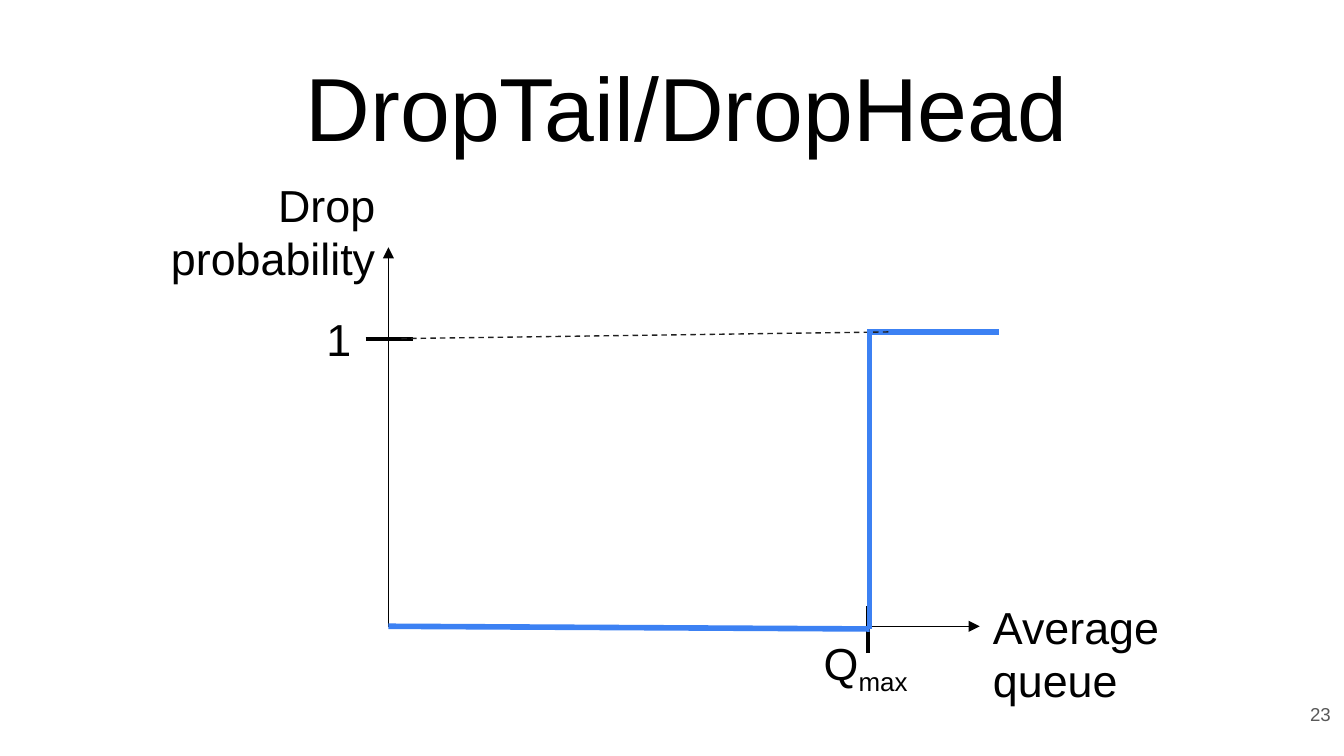
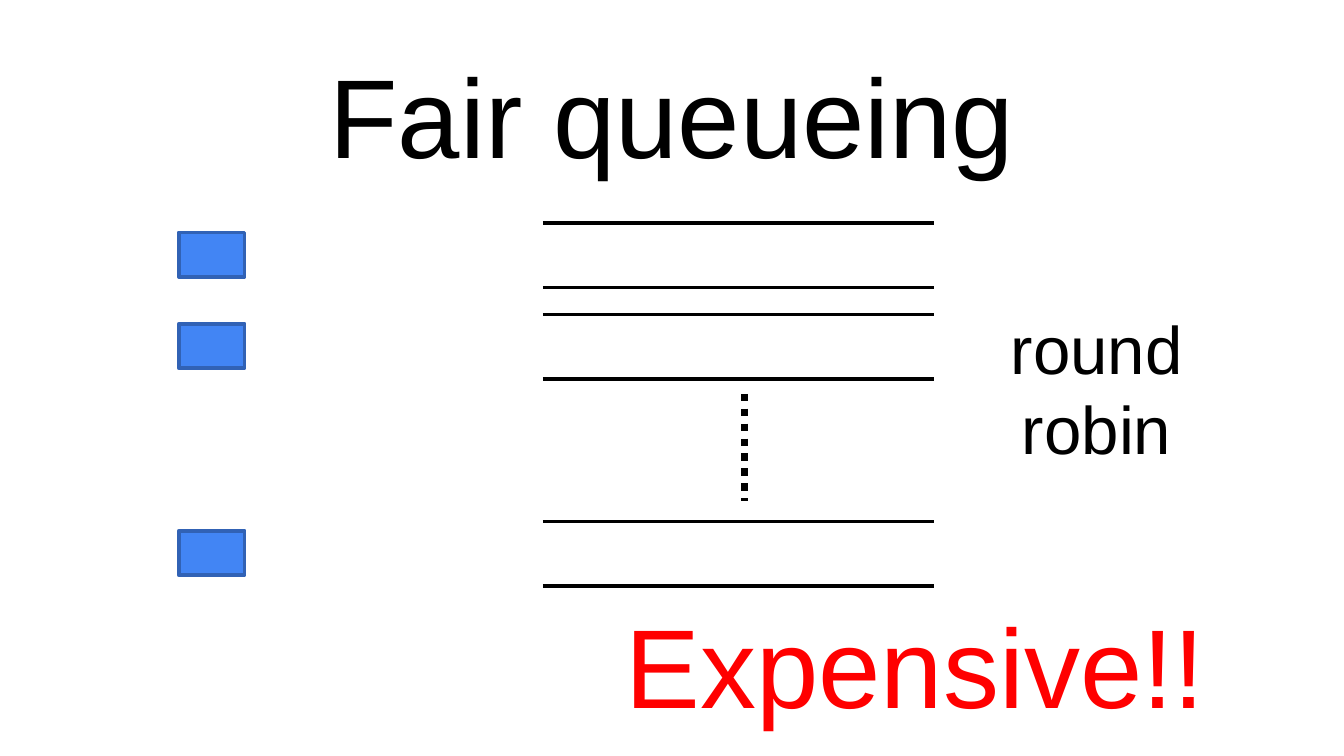
import pptx
import pptx.util
import pptx.dml.color
import pptx.enum.dml
import pptx.enum.shapes
import pptx.enum.text
from lxml import etree
from pptx.oxml.ns import qn

Inches, Pt = pptx.util.Inches, pptx.util.Pt
RGBColor = pptx.dml.color.RGBColor
ALIGN = pptx.enum.text.PP_ALIGN
ANCHOR = pptx.enum.text.MSO_ANCHOR
FIT = pptx.enum.text.MSO_AUTO_SIZE
DASH = pptx.enum.dml.MSO_LINE

FONT = "Arial"
BLACK = RGBColor(0x00, 0x00, 0x00)
DARK = RGBColor(0x20, 0x20, 0x20)
GREY = RGBColor(0x59, 0x59, 0x59)
CURVE = RGBColor(0x3C, 0x81, 0xF3)
PACKET = RGBColor(0x42, 0x85, 0xF4)
PACKET_EDGE = RGBColor(0x31, 0x62, 0xB5)
RED = RGBColor(0xFF, 0x00, 0x00)

# Drop probability graph: (from, to) points in inches
ORIGIN = (2.89, 4.66)
AXES = [(ORIGIN, (2.89, 1.84)), (ORIGIN, (7.29, 4.66))]
QUEUE_TICK = [((6.46, 4.86), (6.46, 4.51))]
PROBABILITY_TICK = [((2.72, 2.52), (3.07, 2.52))]
CURVE_START = [(ORIGIN, (6.47, 4.68)), ((6.46, 2.47), (7.43, 2.47))]
GUIDES = [((6.47, 2.47), (6.46, 4.65)), ((6.61, 2.47), (2.96, 2.52))]
CURVE_JUMP = [((6.47, 4.68), (6.47, 2.45))]

# Fair queueing: top of each queue
QUEUE_TOPS = [1.66, 2.34, 3.88]
QUEUE_LEFT, QUEUE_RIGHT, QUEUE_HEIGHT = 4.04, 6.95, 0.48
PACKET_LEFT, PACKET_WIDTH, PACKET_HEIGHT = 1.33, 0.49, 0.33
PACKET_DROP = 0.07


def add_text(s, text, box, size=24, color=BLACK, align=ALIGN.LEFT,
             anchor=ANCHOR.TOP, insets=(0.1, 0.05), wrap=True, fit=FIT.NONE,
             subscript=""):
    """Add a text box; \\n starts a paragraph, \\v breaks a line.

    Insets are (sides, top and bottom).
    """
    tf = s.shapes.add_textbox(*map(Inches, box)).text_frame
    tf.word_wrap = wrap
    tf.auto_size = fit
    tf.vertical_anchor = anchor
    tf.margin_left = tf.margin_right = Inches(insets[0])
    tf.margin_top = tf.margin_bottom = Inches(insets[1])
    tf.text = text
    if subscript:
        r = tf.paragraphs[-1].add_run()
        r.text = subscript
        r._r.get_or_add_rPr().set("baseline", "-25000")
    for p in tf.paragraphs:
        p.alignment = align
        for r in p.runs:
            r.font.name = FONT
            r.font.size = Pt(size)
            r.font.color.rgb = color


def add_title(s, text, left, top, size):
    add_text(s, text, (left, top, 9.32, 0.63), size=size, align=ALIGN.CENTER,
             anchor=ANCHOR.MIDDLE, insets=(0, 0))


def add_label(s, text, box, **kwargs):
    add_text(s, text, box, wrap=False, fit=FIT.SHAPE_TO_FIT_TEXT, **kwargs)


def add_lines(s, lines, width, color=BLACK, dash=None, arrow=False):
    for start, end in lines:
        line = s.shapes.add_connector(
            pptx.enum.shapes.MSO_CONNECTOR.STRAIGHT, *map(Inches, start + end))
        line.line.width = Pt(width)
        line.line.color.rgb = color
        if dash:
            line.line.dash_style = dash
        if arrow:
            etree.SubElement(line.line._get_or_add_ln(), qn("a:tailEnd"), type="triangle")
        etree.SubElement(line._element.spPr, qn("a:effectLst"))


def add_packet(s, top):
    sp = s.shapes.add_shape(
        pptx.enum.shapes.MSO_SHAPE.RECTANGLE,
        *map(Inches, (PACKET_LEFT, top, PACKET_WIDTH, PACKET_HEIGHT)))
    sp.shadow.inherit = False
    sp.fill.solid()
    sp.fill.fore_color.rgb = PACKET
    sp.line.color.rgb = PACKET_EDGE
    sp.line.width = Pt(2)


def build_drop_graph(s):
    add_title(s, "DropTail/DropHead", 0.45, 0.47, 48)
    add_text(s, "23", (9.4, 5.1, 0.6, 0.43), size=10, color=GREY,
             align=ALIGN.RIGHT, anchor=ANCHOR.MIDDLE, insets=(0.1, 0.1))
    add_lines(s, AXES, 0.75, arrow=True)
    add_label(s, "Average\vqueue", (7.29, 4.41, 1.46, 0.91))
    add_label(s, "Drop\vprobability", (1.12, 1.27, 1.77, 0.91), align=ALIGN.RIGHT)
    add_label(s, "Q", (6.03, 4.68, 0.89, 0.5), subscript="max")
    add_lines(s, QUEUE_TICK, 2)
    add_label(s, "1", (2.33, 2.27, 0.39, 0.5))
    add_lines(s, PROBABILITY_TICK, 2)
    add_lines(s, CURVE_START, 3, CURVE)
    add_lines(s, GUIDES, 0.75, DARK, DASH.DASH)
    add_lines(s, CURVE_JUMP, 3, CURVE)


def build_fair_queueing(s):
    add_title(s, "Fair queueing", 0.34, 0.53, 60)
    for top in QUEUE_TOPS:
        add_lines(s, [((QUEUE_LEFT, y), (QUEUE_RIGHT, y))
                      for y in (top, top + QUEUE_HEIGHT)], 2)
        add_packet(s, top + PACKET_DROP)
    add_lines(s, [((5.54, 2.93), (5.54, 3.73))], 4, dash=DASH.ROUND_DOT)
    add_text(s, "round\nrobin", (7.34, 2.57, 1.64, 0.63), size=36,
             align=ALIGN.CENTER, anchor=ANCHOR.MIDDLE, insets=(0, 0))
    add_text(s, "Expensive!!", (4.04, 4.39, 5.54, 1.11), size=60, color=RED,
             align=ALIGN.CENTER, fit=FIT.SHAPE_TO_FIT_TEXT)


def main():
    prs = pptx.Presentation()
    prs.slide_width = Inches(10)
    prs.slide_height = prs.slide_width * 9 // 16
    for build in (build_drop_graph, build_fair_queueing):
        build(prs.slides.add_slide(prs.slide_layouts[6]))
    prs.save("out.pptx")


if __name__ == "__main__":
    main()
